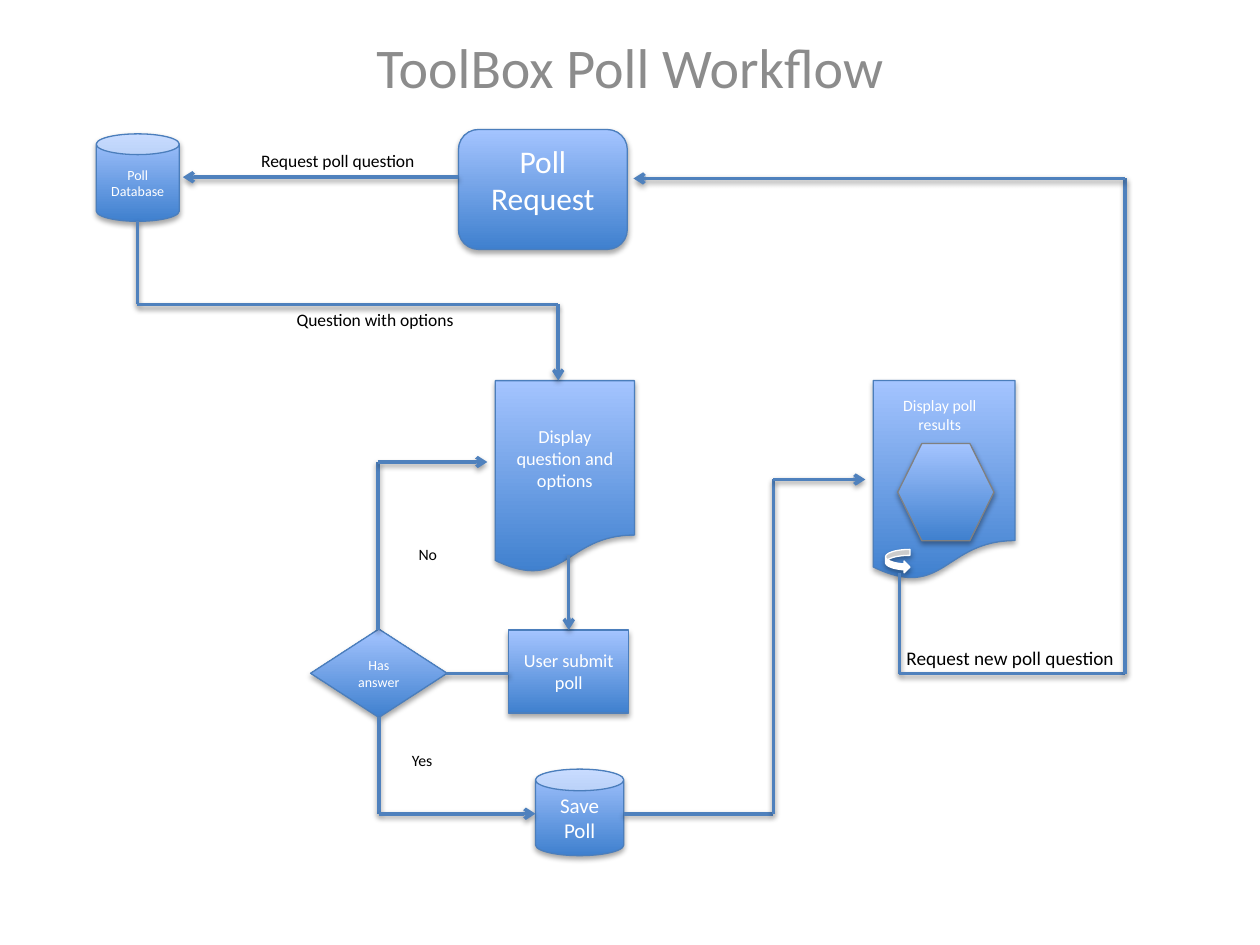
from dataclasses import dataclass
from itertools import pairwise

from lxml.etree import SubElement
from pptx import Presentation
from pptx.dml.color import RGBColor
from pptx.enum.shapes import MSO_CONNECTOR, MSO_SHAPE
from pptx.enum.text import MSO_ANCHOR, MSO_AUTO_SIZE, PP_ALIGN
from pptx.oxml.ns import qn
from pptx.util import Pt


@dataclass(frozen=True)
class Theme:
    font: str = "Calibri"
    dark: str = "3F80CE"
    light: str = "A4C4FF"
    edge: str = "4B7EBC"
    flow: str = "4F81BD"
    grey: str = "808080"
    title: str = "8C8C8C"
    white: str = "FFFFFF"
    black: str = "000000"
    huge: float = 32
    big: float = 18
    save: float = 12
    new: float = 11
    step: float = 10.5
    note: float = 10
    small: float = 9
    tiny: float = 8


THEME = Theme()


@dataclass(frozen=True)
class Node:
    kind: MSO_SHAPE
    box: tuple
    text: str = ""
    size: float = THEME.step
    edge: str = THEME.edge
    fill: str = ""  # empty means the blue gradient
    anchor: MSO_ANCHOR = MSO_ANCHOR.MIDDLE


@dataclass(frozen=True)
class Label:
    box: tuple
    text: str
    size: float
    color: str = THEME.black
    wrap: bool = True


@dataclass(frozen=True)
class Route:
    points: tuple
    arrow: bool = True


NODES = [
    Node(MSO_SHAPE.ROUNDED_RECTANGLE, (262, 74, 96.5, 54.5 + 14), "Poll\nRequest",
         THEME.big, anchor=MSO_ANCHOR.TOP),
    Node(MSO_SHAPE.CAN, (55, 76.5, 47.5, 50), "Poll\vDatabase", THEME.tiny),
    Node(MSO_SHAPE.FLOWCHART_DOCUMENT, (283, 217.5, 79.5, 110),
         "Display question and options"),
    Node(MSO_SHAPE.FLOWCHART_PROCESS, (290.75, 360, 68.5, 47.5), "User submit poll"),
    Node(MSO_SHAPE.FLOWCHART_DECISION, (177.5, 359.5, 78, 50.5), "Has answer",
         THEME.tiny),
    Node(MSO_SHAPE.CAN, (306, 439.5, 50.5, 49.5), "Save\vPoll", THEME.save),
    Node(MSO_SHAPE.FLOWCHART_DOCUMENT, (499, 217.5, 81, 114)),
    Node(MSO_SHAPE.HEXAGON, (513, 253.5, 55, 55.5), edge=THEME.grey),
    Node(MSO_SHAPE.CURVED_RIGHT_ARROW, (506, 314, 14, 13.5),
         edge=THEME.white, fill=THEME.white),
]

ROUTES = [
    Route(((262, 101.25), (104.5, 101.25))),
    Route(((78.5, 126), (78.5, 174), (319, 174), (319, 217.5))),
    Route(((325, 317), (325, 360))),
    Route(((291, 385), (255, 385)), arrow=False),
    Route(((216, 360), (216, 264), (278.5, 264))),
    Route(((216.5, 410), (216.5, 465), (306, 465))),
    Route(((356.5, 465), (442, 465), (442, 274), (494.5, 274))),
    Route(((514, 327.5), (514, 385), (643, 385), (643, 102), (362, 102))),
]

LABELS = [
    Label((140.5, 82, 105, 19.5), "Request poll question", THEME.note),
    Label((161, 173, 106.5, 19.5), "Question with options", THEME.note),
    Label((232, 307.5, 25, 18), "No", THEME.small, wrap=False),
    Label((227.5, 425.5, 27.5, 18), "Yes", THEME.small, wrap=False),
    Label((503, 222.5, 68, 29), "Display poll results", THEME.small, THEME.white),
    Label((504.5, 366, 145.5, 21), "Request new poll question", THEME.new),
]


def rgb(code: str) -> RGBColor:
    return RGBColor.from_string(code)


def shade(shape, gap: float, alpha: int) -> None:
    """Give the shape a soft shadow straight below it."""
    effects = SubElement(shape._element.spPr, qn("a:effectLst"))
    outer = SubElement(effects, qn("a:outerShdw"), blurRad=str(Pt(3.1)),
                       dist=str(Pt(gap)), dir="5400000", rotWithShape="0")
    color = SubElement(outer, qn("a:srgbClr"), val=THEME.black)
    SubElement(color, qn("a:alpha"), val=str(alpha * 1000))


def write(frame, text: str, size: float, color: str) -> None:
    frame.text = text
    for para in frame.paragraphs:
        para.alignment = PP_ALIGN.CENTER
        para.font.name = THEME.font
        para.font.size = Pt(size)
        para.font.color.rgb = rgb(color)


def draw_node(slide, node: Node) -> None:
    shape = slide.shapes.add_shape(node.kind, *map(Pt, node.box))
    if node.fill:
        shape.fill.solid()
        shape.fill.fore_color.rgb = rgb(node.fill)
    else:
        shape.fill.gradient()
        shape.fill.gradient_angle = 90
        for stop, color in zip(shape.fill.gradient_stops, (THEME.dark, THEME.light)):
            stop.color.rgb = rgb(color)
    shape.line.color.rgb = rgb(node.edge)
    shape.line.width = Pt(0.75)
    shade(shape, 1.8, 35)
    if node.text:
        shape.text_frame.word_wrap = True
        shape.text_frame.vertical_anchor = node.anchor
        write(shape.text_frame, node.text, node.size, THEME.white)


def draw_route(slide, route: Route) -> None:
    """Join the points with straight lines; only the last has an arrowhead."""
    for start, end in pairwise(route.points):
        line = slide.shapes.add_connector(
            MSO_CONNECTOR.STRAIGHT, *map(Pt, start + end))
        line.line.color.rgb = rgb(THEME.flow)
        line.line.width = Pt(2)
        if route.arrow and end == route.points[-1]:
            SubElement(line.line._get_or_add_ln(), qn("a:tailEnd"), type="arrow")
        shade(line, 1.6, 38)


def draw_label(slide, label: Label) -> None:
    frame = slide.shapes.add_textbox(*map(Pt, label.box)).text_frame
    frame.word_wrap = label.wrap
    frame.auto_size = MSO_AUTO_SIZE.SHAPE_TO_FIT_TEXT
    write(frame, label.text, label.size, label.color)


def draw_title(slide, text: str) -> None:
    title = slide.shapes.title
    title.left, title.top, title.width, title.height = map(Pt, (108, 15, 504, 55))
    title.text_frame.vertical_anchor = MSO_ANCHOR.TOP
    title.text_frame.auto_size = MSO_AUTO_SIZE.NONE
    write(title.text_frame, text, THEME.huge, THEME.title)


def main() -> None:
    deck = Presentation()
    deck.slide_width, deck.slide_height = Pt(720), Pt(540)
    slide = deck.slides.add_slide(deck.slide_layouts[5])
    draw_title(slide, "ToolBox Poll Workflow")
    for node in NODES:
        draw_node(slide, node)
    for route in ROUTES:
        draw_route(slide, route)
    for label in LABELS:
        draw_label(slide, label)
    deck.save("out.pptx")


if __name__ == "__main__":
    main()
